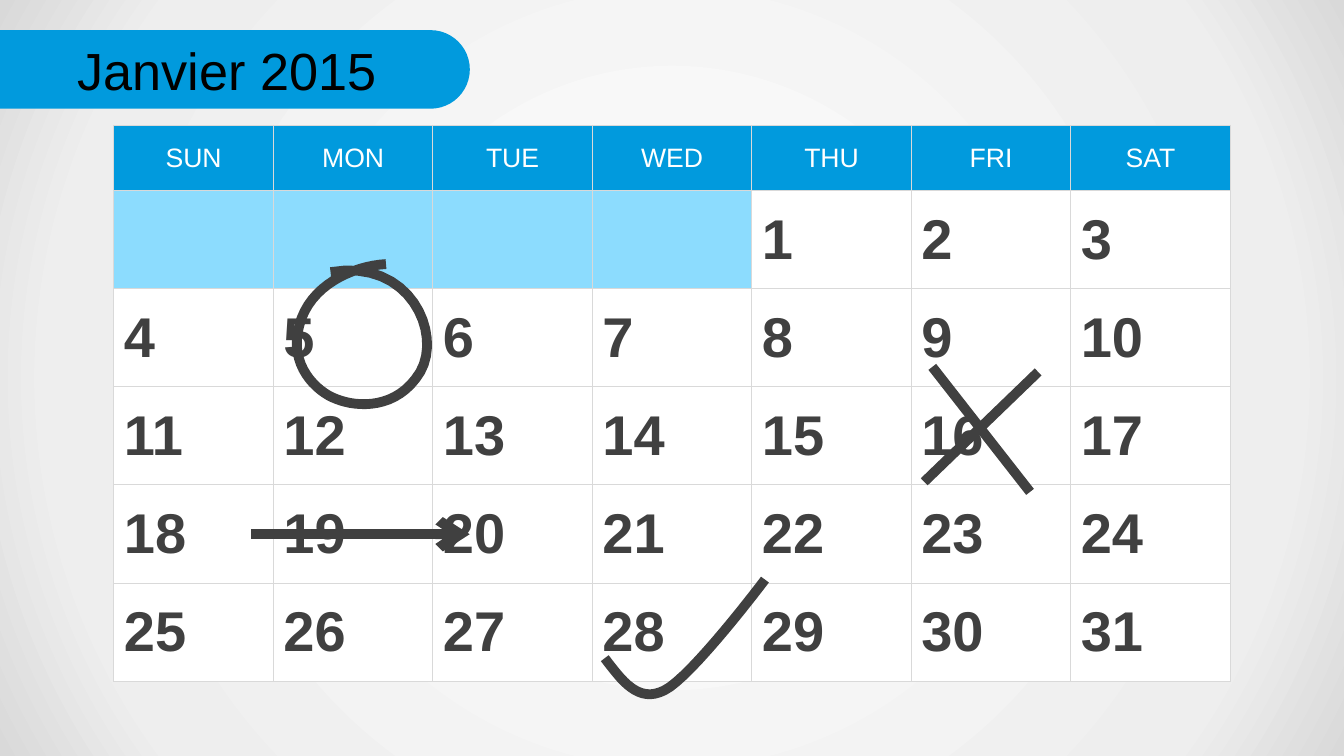
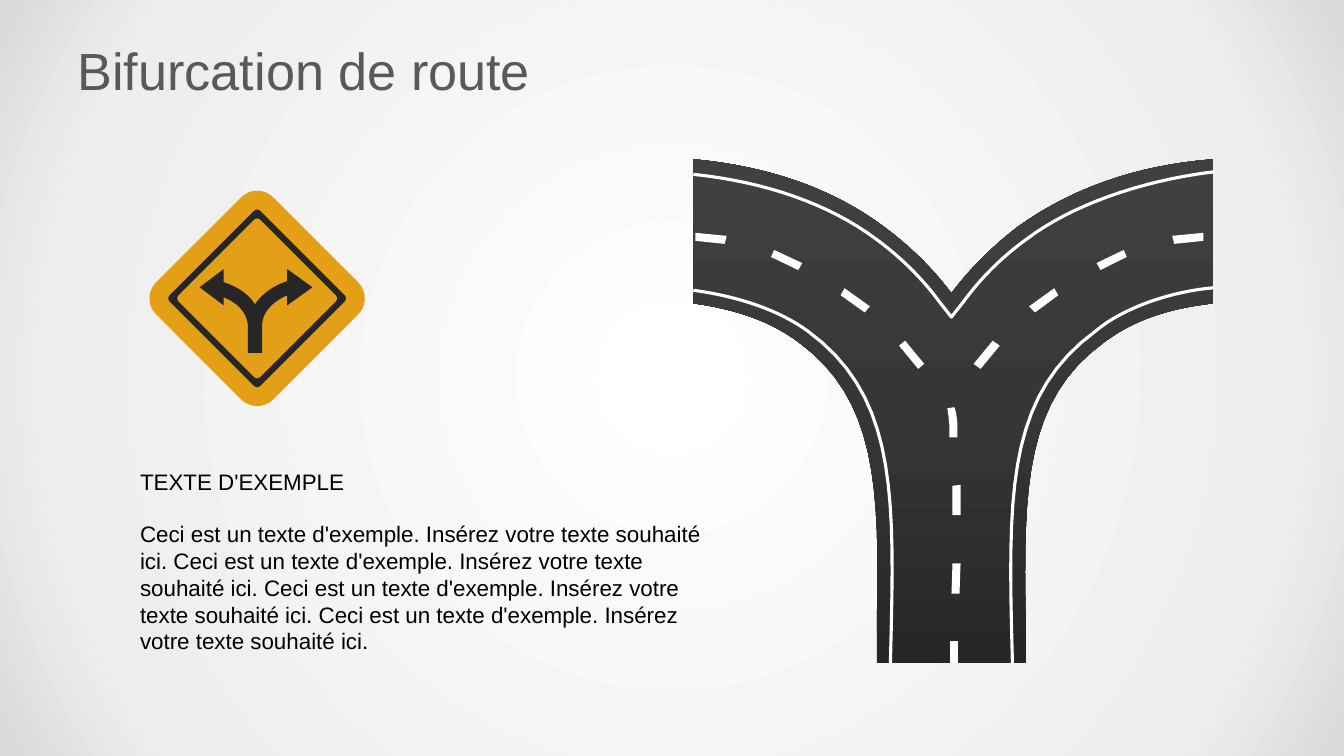
from lxml import etree
from pptx import Presentation
from pptx import util as u
from pptx.dml.color import RGBColor
from pptx.enum import shapes, text
from pptx.oxml import parse_xml
from pptx.oxml.ns import nsdecls, qn

COLORS = {
    "blue": "019ADD", "pale blue": "8CDCFE", "white": "FFFFFF", "black": "000000",
    "grid": "D9D9D9", "ink": "404040", "title": "595959",
    "sign": "E39F16", "asphalt": "262626", "asphalt mid": "363636", "mist": "EEEEEE",
}
FONT = "Arial"
GRID_UNIT = u.Cm(0.0254)  # outlines are plotted on a grid of this pitch
CURVE_STEPS = 16
MARK_WIDTH = 7

WEEKDAYS = ["SUN", "MON", "TUE", "WED", "THU", "FRI", "SAT"]
BLANK_DAYS = 4
WEEKS = 5

# An outline is a start point followed by lines (x, y) and
# cubic curves (x1, y1, x2, y2, x, y).
DAY_CIRCLE = [(328, 270), (407, 256, 439, 331, 417, 369), (394, 407, 354, 404, 334, 396),
              (314, 389, 286, 362, 297, 323), (307, 283, 350, 264, 383, 262)]
CHECK_MARK = [(600, 653), (617, 675, 633, 698, 659, 685), (686, 672, 759, 575, 759, 575)]
CROSS = [((925, 364), (1022, 488)), ((917, 478), (1030, 369))]
ARROW = ((249, 530), (466, 530))

ROAD = [(1010, 225), (984, 245, 962, 267, 944, 291), (926, 267, 904, 245, 877, 225),
        (826, 187, 763, 165, 688, 158), (688, 301), (731, 307, 765, 319, 793, 340),
        (869, 396, 873, 482, 870, 616), (870, 658), (1018, 658), (1018, 616),
        (1015, 482, 1018, 396, 1095, 340), (1124, 318, 1159, 306, 1204, 301),
        (1204, 158), (1127, 164, 1063, 187, 1010, 225)]
EDGE_LINES = [
    [(688, 288), (735, 294.5, 774, 308.5, 801.5, 328.5),
     (884, 389, 887.5, 477.5, 884.5, 617), (883.5, 658)],
    [(1204, 285.5), (1163.5, 289, 1115.5, 304.5, 1087, 328.5),
     (1004.5, 389, 1000.5, 477.5, 1003.5, 617), (1004.5, 658)],
    [(688, 173), (760, 180.5, 822.5, 202.5, 869, 237), (893.5, 255, 915, 276, 932.5, 300),
     (944, 314.5), (955.5, 300), (973, 276, 994, 255, 1019, 237),
     (1063.5, 203.5, 1131.5, 179.5, 1204, 170.5)],
]
LANE_DASHES = [
    [(690, 231), (690, 239), (719, 242), (721, 234)],
    [(768, 248), (765, 255), (792, 268), (796, 261)],
    [(838, 286), (834, 293), (858, 310), (863, 304)],
    [(892, 343), (911, 366), (917, 361), (898, 338)],
    [(966, 361), (973, 366), (992, 343), (985, 338)],
    [(1046, 286), (1021, 304), (1027, 310), (1050, 293)],
    [(1115, 248), (1088, 261), (1092, 268), (1118, 255)],
    [(1194, 231), (1163, 234), (1165, 242), (1194, 239)],
    [(950, 434), (950, 425), (950, 417, 949, 410, 947, 404), (940, 405),
     (941, 412, 942, 419, 942, 425), (942, 434)],
    [(945, 482), (945, 511), (953, 511), (953, 481)],
    [(944, 589), (952, 589), (953, 559), (945, 559)],
    [(943, 658), (951, 658), (951, 636), (943, 636)],
]
FORK_ARROWS = [(310, 285), (285, 267), (285, 279), (278, 281, 262, 288, 253, 302),
               (245, 289, 231, 283, 222, 280), (222, 267), (198, 285), (222, 303),
               (222, 295), (232, 299, 246, 308, 246, 325), (246, 350), (260, 350),
               (260, 324), (260, 306, 276, 297, 285, 293), (285, 303)]

EXAMPLE = " ".join(["Ceci est un texte d'exemple. Insérez votre texte souhaité ici."] * 4)


def rgb(color):
    return RGBColor.from_string(COLORS[color])


def plot(outline):
    """Turn an outline into points in EMU, sampling its curves."""
    points = [outline[0]]
    for segment in outline[1:]:
        if len(segment) == 2:
            points.append(segment)
            continue
        knots = [points[-1], segment[:2], segment[2:4], segment[4:]]
        for step in range(1, CURVE_STEPS + 1):
            t = step / CURVE_STEPS
            weights = ((1 - t) ** 3, 3 * t * (1 - t) ** 2, 3 * t * t * (1 - t), t ** 3)
            points.append(tuple(sum(w * knot[axis] for w, knot in zip(weights, knots))
                                for axis in (0, 1)))
    return [(round(x * GRID_UNIT), round(y * GRID_UNIT)) for x, y in points]


def set_gradient(grad_fill, stops, direction):
    """Replace the stops (percent, color) and the direction element of a gradient."""
    for child in list(grad_fill):
        grad_fill.remove(child)
    stop_list = etree.SubElement(grad_fill, qn("a:gsLst"))
    for percent, color in stops:
        stop = etree.SubElement(stop_list, qn("a:gs"), pos=str(percent * 1000))
        etree.SubElement(stop, qn("a:srgbClr"), val=COLORS[color])
    grad_fill.append(parse_xml(direction))


class Deck:
    def __init__(self):
        self.prs = Presentation()
        self.prs.slide_width, self.prs.slide_height = u.Cm(33.87), u.Cm(19.05)
        self.slide = None
        master = self.prs.slide_master
        master.background.fill.gradient()
        set_gradient(
            master.element.find(".//" + qn("a:gradFill")),
            [(0, "white"), (81, "mist"), (100, "grid")],
            f'<a:path {nsdecls("a")} path="circle">'
            '<a:fillToRect l="50000" t="50000" r="50000" b="50000"/></a:path>')

    def run(self, paragraph, words, size, color, bold=False):
        run = paragraph.add_run()
        run.text = words
        font = run.font
        font.name, font.size, font.bold = FONT, u.Pt(size), bold
        font.color.rgb = rgb(color)

    def new_slide(self, title, color):
        self.slide = self.prs.slides.add_slide(self.prs.slide_layouts[5])
        holder = self.slide.shapes.title
        holder.left, holder.top = u.Cm(1.7), u.Cm(0.76)
        holder.width, holder.height = u.Cm(30.48), u.Cm(1.98)
        frame = holder.text_frame
        frame.auto_size = text.MSO_AUTO_SIZE.NONE
        frame.vertical_anchor = text.MSO_ANCHOR.MIDDLE
        frame.paragraphs[0].alignment = text.PP_ALIGN.LEFT
        self.run(frame.paragraphs[0], title, 37.3, color)

    def preset(self, kind, left, top, width, height, color, adjustments, rotation):
        shape = self.slide.shapes.add_shape(
            kind, u.Cm(left), u.Cm(top), u.Cm(width), u.Cm(height))
        for index, value in enumerate(adjustments):
            shape.adjustments[index] = value
        shape.rotation = rotation
        self.paint(shape, color)
        return shape

    def paint(self, shape, color):
        shape.shadow.inherit = False
        shape.fill.solid()
        shape.fill.fore_color.rgb = rgb(color)
        shape.line.fill.background()

    def freeform(self, outline, close):
        points = plot(outline)
        builder = self.slide.shapes.build_freeform(*points[0])
        builder.add_line_segments(points[1:], close=close)
        return builder.convert_to_shape()

    def area(self, outline, color):
        shape = self.freeform(outline, True)
        self.paint(shape, color)
        return shape

    def stroke(self, outline, color, width):
        shape = self.freeform(outline, False)
        shape.shadow.inherit = False
        shape.fill.background()
        shape.line.color.rgb = rgb(color)
        shape.line.width = u.Pt(width)

    def line(self, ends, color, width, arrow=False):
        start, end = plot(ends)
        connector = self.slide.shapes.add_connector(
            shapes.MSO_CONNECTOR.STRAIGHT, *start, *end)
        connector.line.color.rgb = rgb(color)
        connector.line.width = u.Pt(width)
        if arrow:
            etree.SubElement(connector.line._get_or_add_ln(), qn("a:tailEnd"), type="arrow")
        etree.SubElement(connector.element.spPr, qn("a:effectLst"))

    def text_box(self, words, left, top, width, height):
        box = self.slide.shapes.add_textbox(u.Cm(left), u.Cm(top), u.Cm(width), u.Cm(height))
        frame = box.text_frame
        frame.word_wrap = True
        frame.auto_size = text.MSO_AUTO_SIZE.SHAPE_TO_FIT_TEXT
        self.run(frame.paragraphs[0], words, 16, "black")

    def cell(self, cell, fill):
        """Fill and border a table cell and return its paragraph."""
        cell.fill.solid()
        cell.fill.fore_color.rgb = rgb(fill)
        cell.vertical_anchor = text.MSO_ANCHOR.MIDDLE
        properties = cell._tc.get_or_add_tcPr()
        for index, side in enumerate("LRTB"):
            properties.insert(index, parse_xml(
                f'<a:ln{side} {nsdecls("a")} w="{u.Pt(0.75)}"><a:solidFill>'
                f'<a:srgbClr val="{COLORS["grid"]}"/></a:solidFill></a:ln{side}>'))
        return cell.text_frame.paragraphs[0]

    def calendar(self, left, top, column_width, header_height, week_height):
        table = self.slide.shapes.add_table(
            WEEKS + 1, len(WEEKDAYS), u.Cm(left), u.Cm(top),
            u.Cm(column_width * len(WEEKDAYS)),
            u.Cm(header_height + week_height * WEEKS)).table
        for row in table.rows:
            row.height = u.Cm(week_height)
        table.rows[0].height = u.Cm(header_height)
        for column, weekday in enumerate(WEEKDAYS):
            table.columns[column].width = u.Cm(column_width)
            heading = self.cell(table.cell(0, column), "blue")
            heading.alignment = text.PP_ALIGN.CENTER
            self.run(heading, weekday, 19, "white")
            for week in range(WEEKS):
                day = week * len(WEEKDAYS) + column - BLANK_DAYS + 1
                entry = self.cell(table.cell(week + 1, column),
                                  "white" if day > 0 else "pale blue")
                if day > 0:
                    self.run(entry, str(day), 40, "ink", bold=True)


def january(deck):
    deck.new_slide("Janvier 2015", "black")
    band = deck.preset(shapes.MSO_SHAPE.ROUND_2_SAME_RECTANGLE,
                       4.93, -4.17, 1.98, 11.84, "blue", (0.5, 0), 90)
    deck.slide.shapes.title.element.addprevious(band.element)
    deck.calendar(2.87, 3.15, 4.02, 1.66, 2.47)
    for mark in (DAY_CIRCLE, CHECK_MARK):
        deck.stroke(mark, "ink", MARK_WIDTH)
    for bar in CROSS:
        deck.line(bar, "ink", MARK_WIDTH)
    deck.line(ARROW, "ink", MARK_WIDTH, arrow=True)


def road_fork(deck):
    deck.new_slide("Bifurcation de route", "title")
    road = deck.area(ROAD, "asphalt")
    road.fill.gradient()
    set_gradient(road.element.spPr.find(qn("a:gradFill")),
                 [(0, "asphalt"), (50, "asphalt mid"), (100, "ink")],
                 f'<a:lin {nsdecls("a")} ang="16200000" scaled="0"/>')
    for dash in LANE_DASHES:
        deck.area(dash, "white")
    for edge in EDGE_LINES:
        deck.stroke(edge, "white", 2.25)

    deck.text_box(EXAMPLE, 3.28, 12.98, 15.44, 3)
    deck.text_box("TEXTE D'EXEMPLE", 3.28, 11.66, 15.04, 1.12)

    center_x, center_y = 6.48, 7.52
    for side, radius, color in ((4.17, 0.57, "sign"), (3.23, 0.11, "asphalt"),
                                (2.91, 0.11, "sign")):
        deck.preset(shapes.MSO_SHAPE.ROUNDED_RECTANGLE, center_x - side / 2,
                    center_y - side / 2, side, side, color, (radius / side,), 45)
    deck.area(FORK_ARROWS, "asphalt")


def main():
    deck = Deck()
    january(deck)
    road_fork(deck)
    deck.prs.save("out.pptx")


if __name__ == "__main__":
    main()
